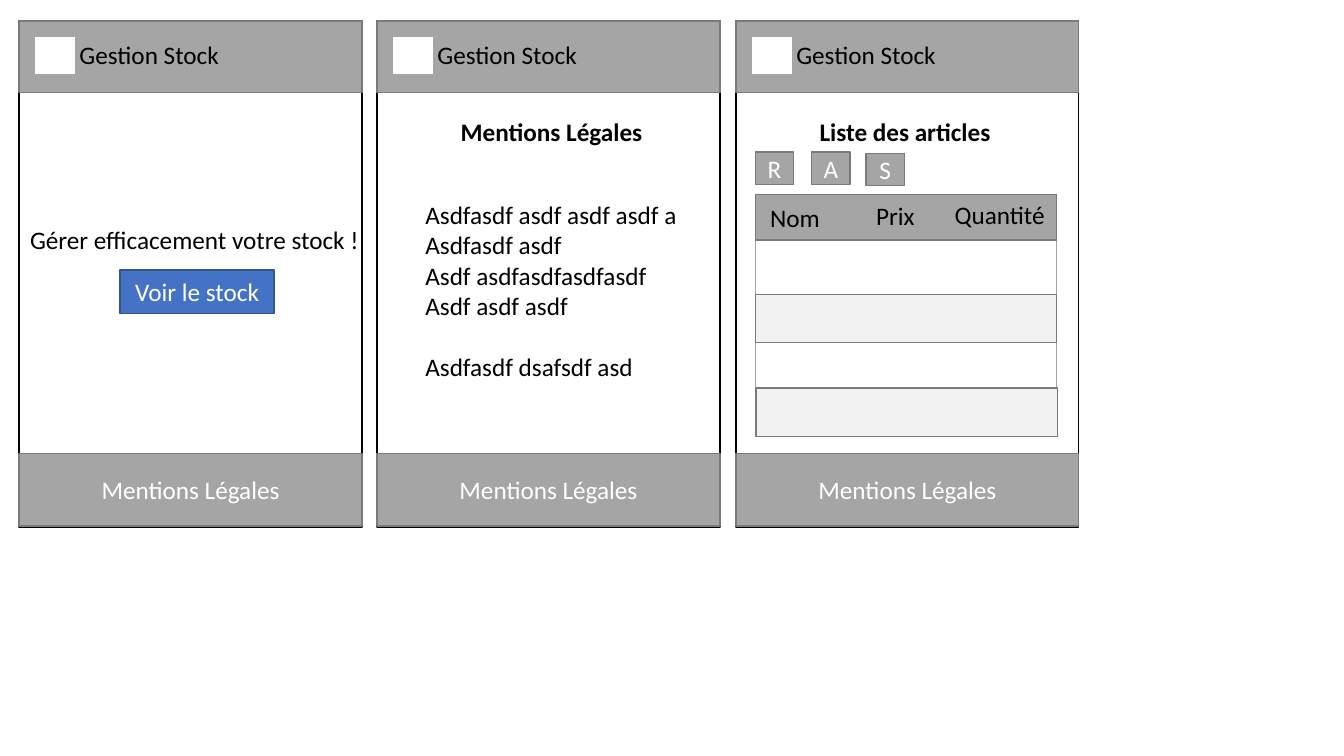
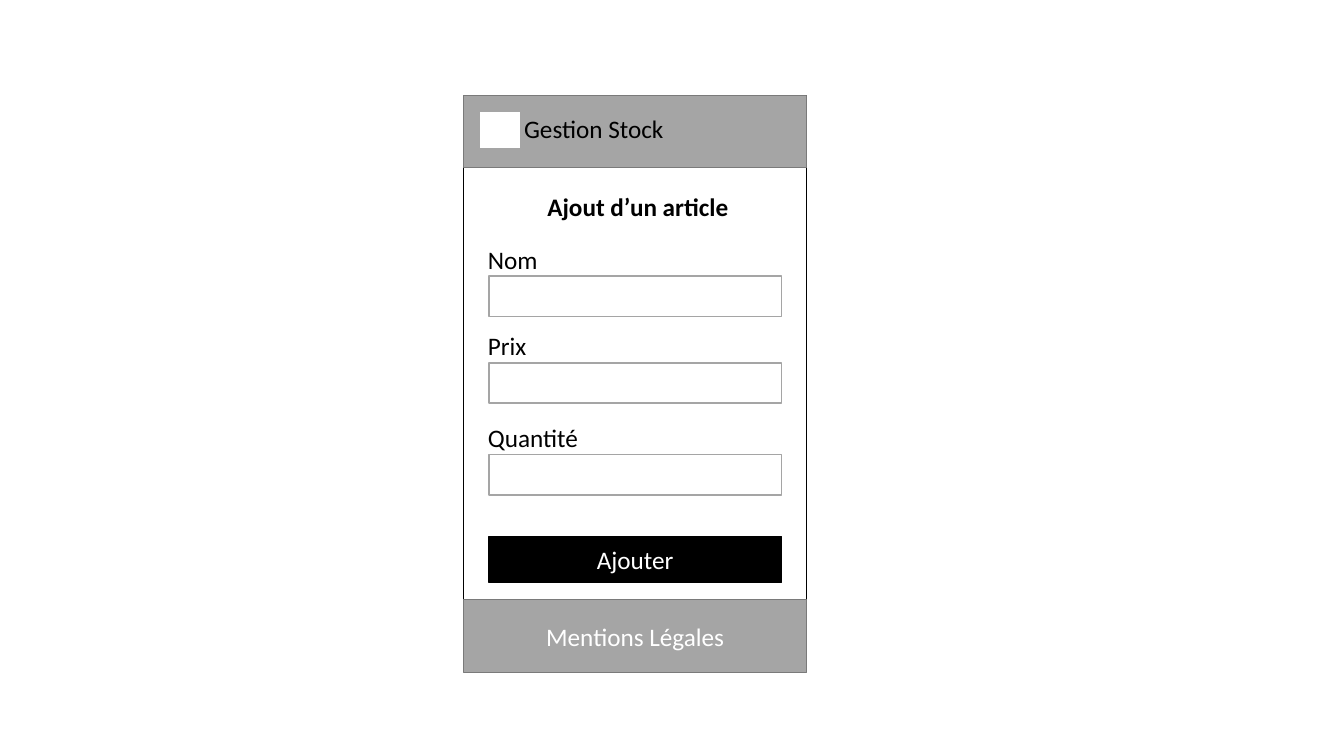
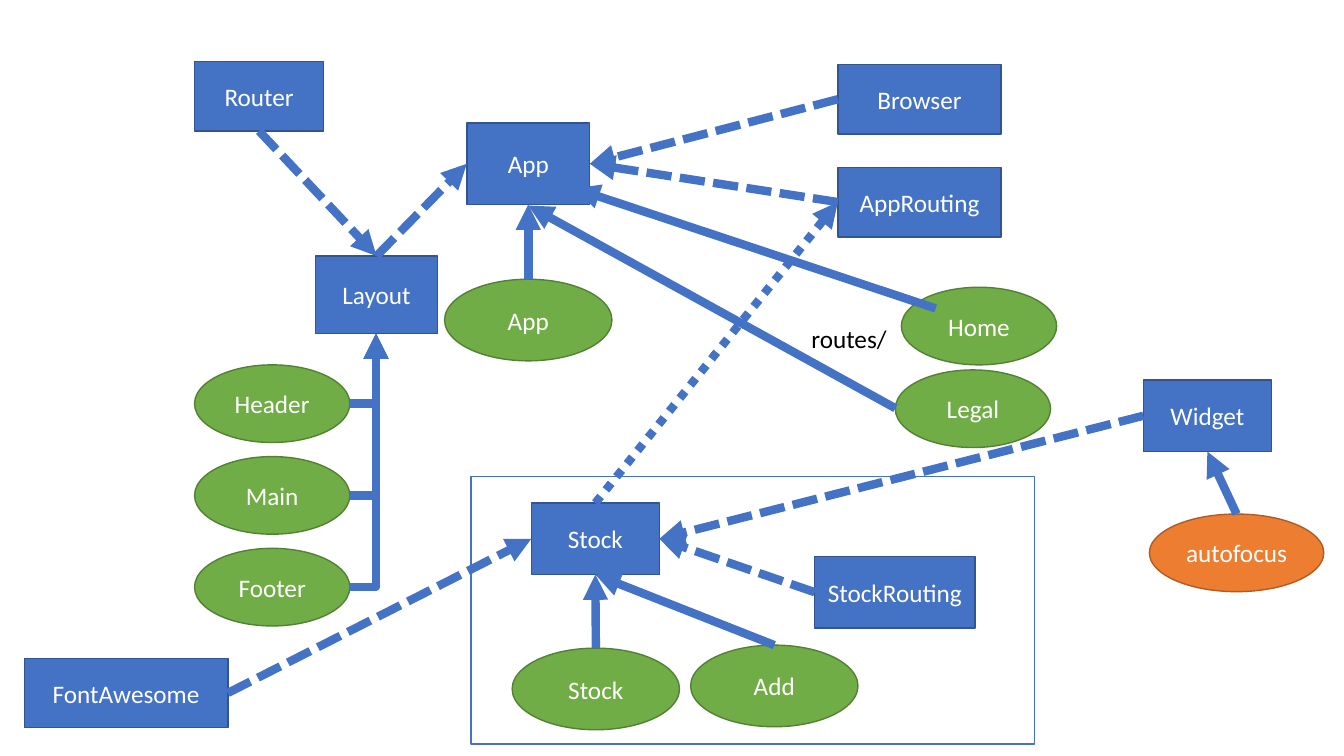
import pptx
import pptx.util
import pptx.dml.color
import pptx.enum.dml
import pptx.enum.shapes
import pptx.enum.text
import pptx.oxml.ns
import lxml.etree

Inches = pptx.util.Inches
Pt = pptx.util.Pt
RGBColor = pptx.dml.color.RGBColor
SHAPE = pptx.enum.shapes.MSO_SHAPE
CONNECTOR = pptx.enum.shapes.MSO_CONNECTOR
DASH = pptx.enum.dml.MSO_LINE.SQUARE_DOT
DOT = pptx.enum.dml.MSO_LINE.ROUND_DOT
qn = pptx.oxml.ns.qn

BLACK = RGBColor(0x00, 0x00, 0x00)
WHITE = RGBColor(0xFF, 0xFF, 0xFF)
GREY = RGBColor(0xA5, 0xA5, 0xA5)
DARK_GREY = RGBColor(0x7A, 0x7A, 0x7A)
PALE_GREY = RGBColor(0xF2, 0xF2, 0xF2)
BLUE = RGBColor(0x44, 0x72, 0xC4)
DARK_BLUE = RGBColor(0x32, 0x54, 0x91)
GREEN = RGBColor(0x70, 0xAD, 0x47)
DARK_GREEN = RGBColor(0x53, 0x80, 0x35)
ORANGE = RGBColor(0xED, 0x7D, 0x31)
DARK_ORANGE = RGBColor(0xAF, 0x5C, 0x24)

TOP, LEFT, BOTTOM, RIGHT = range(4)


class Deck:
    font = "Calibri"
    size = Pt(18)
    screen_width = 3.4

    def __init__(self):
        self.prs = pptx.Presentation()
        self.prs.slide_width = Inches(13.33)
        self.prs.slide_height = Inches(7.5)

    def slide(self):
        self.s = self.prs.slides.add_slide(self.prs.slide_layouts[6])

    def run(self, p, text, color, bold=False):
        r = p.add_run()
        r.text = text
        r.font.name = self.font
        r.font.size = self.size
        r.font.bold = bold
        r.font.color.rgb = color

    def box(self, x, y, w, h, fill, line, text=None, kind=SHAPE.RECTANGLE):
        sp = self.s.shapes.add_shape(kind, Inches(x), Inches(y), Inches(w), Inches(h))
        sp.shadow.inherit = False
        sp.fill.solid()
        sp.fill.fore_color.rgb = fill
        sp.line.color.rgb = line
        sp.line.width = Pt(1)
        if text:
            tf = sp.text_frame
            tf.vertical_anchor = pptx.enum.text.MSO_ANCHOR.MIDDLE
            p = tf.paragraphs[0]
            p.alignment = pptx.enum.text.PP_ALIGN.CENTER
            self.run(p, text, WHITE)
        return sp

    def text(self, x, y, w, *lines, bold=False, h=0.4):
        sp = self.s.shapes.add_textbox(Inches(x), Inches(y), Inches(w), Inches(h))
        tf = sp.text_frame
        tf.word_wrap = False
        tf.auto_size = pptx.enum.text.MSO_AUTO_SIZE.SHAPE_TO_FIT_TEXT
        for i, line in enumerate(lines):
            p = tf.add_paragraph() if i else tf.paragraphs[0]
            self.run(p, line, BLACK, bold)
        return tf

    def screen(self, x, y, footer_y):
        w = self.screen_width
        self.box(x, y, w, 5.02, WHITE, BLACK)
        self.box(x, y, w, 0.71, GREY, DARK_GREY)
        self.box(x, footer_y, w, 0.72, GREY, DARK_GREY, "Mentions Légales")
        self.box(x + 0.15, y + 0.15, 0.41, 0.38, WHITE, GREY)
        self.text(x + 0.5, y + 0.13, 1.6, "Gestion Stock")

    def heading(self, x, y, w, text):
        self.text(x + 0.73, y + 0.9, w, text, bold=True)

    def module(self, x, y, w, h, text):
        return self.box(x, y, w, h, BLUE, DARK_BLUE, text)

    def component(self, x, y, w, h, text, fill=GREEN, line=DARK_GREEN):
        return self.box(x, y, w, h, fill, line, text, SHAPE.OVAL)

    def arrow(self, x1, y1, x2, y2, dash=None, bent=False):
        kind = CONNECTOR.ELBOW if bent else CONNECTOR.STRAIGHT
        c = self.s.shapes.add_connector(
            kind, Inches(x1), Inches(y1), Inches(x2), Inches(y2))
        c.line.color.rgb = BLUE
        c.line.width = Pt(6)
        if dash:
            c.line.dash_style = dash
        spPr = c.element.spPr
        if bent:
            spPr.find(qn("a:prstGeom")).set("prst", "bentConnector2")
        lxml.etree.SubElement(spPr.find(qn("a:ln")), qn("a:tailEnd"), type="triangle")
        lxml.etree.SubElement(spPr, qn("a:effectLst"))
        return c

    def link(self, source, source_side, target, target_side, dash=None):
        c = self.arrow(0, 0, 1, 1, dash)
        c.begin_connect(source, source_side)
        c.end_connect(target, target_side)


def build_screens(deck):
    deck.slide()
    y, footer_y = 0.21, 4.5
    home_x, legal_x, list_x = 0.19, 3.74, 7.3

    deck.screen(home_x, y, footer_y)
    deck.box(1.19, 2.68, 1.53, 0.43, BLUE, DARK_BLUE, "Voir le stock")
    deck.text(0.2, 2.18, 3.51, "Gérer efficacement votre stock !")

    deck.screen(legal_x, y, footer_y)
    deck.heading(legal_x, y, 2.02, "Mentions Légales")
    tf = deck.text(4.12, 1.93, 2.72, "Asdfasdf asdf asdf asdf a", "Asdfasdf asdf ",
                   "Asdf asdfasdfasdfasdf", "Asdf asdf asdf ",
                   "Asdfasdf dsafsdf asd", h=1.92)
    tf.paragraphs[-1].space_before = Pt(22)

    deck.screen(list_x, y, footer_y)
    deck.heading(list_x, y, 1.91, "Liste des articles")
    table_x, table_w = 7.49, 2.99
    deck.box(table_x, 1.93, table_w, 2.13, WHITE, GREY)
    for x, button_y, letter in ((7.49, 1.51, "R"), (8.05, 1.51, "A"), (8.59, 1.52, "S")):
        deck.box(x, button_y, 0.38, 0.32, GREY, DARK_GREY, letter)
    deck.box(table_x, 1.93, table_w, 0.45, GREY, DARK_GREY)
    deck.box(table_x, 2.92, table_w, 0.48, PALE_GREY, DARK_GREY)
    deck.box(table_x + 0.01, 3.85, table_w, 0.48, PALE_GREY, DARK_GREY)
    deck.text(7.54, 1.96, 0.7, "Nom")
    deck.text(8.59, 1.94, 0.59, "Prix")
    deck.text(9.37, 1.93, 1.11, "Quantité")


def build_form(deck):
    deck.slide()
    x, y = 4.6, 0.95
    deck.screen(x, y, 5.95)
    deck.heading(x, y, 2.01, "Ajout d’un article")
    for field_y, w, label in ((2.74, 0.7, "Nom"), (3.6, 0.59, "Prix"), (4.51, 1.11, "Quantité")):
        deck.box(4.85, field_y, 2.9, 0.4, WHITE, GREY)
        deck.text(4.74, field_y - 0.37, w, label)
    deck.box(4.85, 5.32, 2.9, 0.46, BLACK, BLACK, "Ajouter")


def build_architecture(deck):
    deck.slide()
    deck.box(4.67, 4.73, 5.59, 2.65, WHITE, BLUE)

    app = deck.module(4.63, 1.22, 1.22, 0.81, "App")
    browser = deck.module(8.31, 0.64, 1.62, 0.69, "Browser")
    app_routing = deck.module(8.31, 1.66, 1.62, 0.69, "AppRouting")
    layout = deck.module(3.13, 2.54, 1.21, 0.77, "Layout")
    router = deck.module(1.93, 0.61, 1.28, 0.69, "Router")
    stock = deck.module(5.27, 4.99, 1.27, 0.71, "Stock")
    stock_routing = deck.module(8.08, 5.52, 1.59, 0.71, "StockRouting")
    font_awesome = deck.module(0.24, 6.53, 2.02, 0.69, "FontAwesome")
    widget = deck.module(11.34, 3.77, 1.27, 0.71, "Widget")

    app_view = deck.component(4.41, 2.77, 1.66, 0.81, "App")
    deck.component(8.94, 2.85, 1.54, 0.77, "Home")
    deck.component(8.88, 3.67, 1.54, 0.77, "Legal")
    stock_view = deck.component(5.08, 6.43, 1.66, 0.81, "Stock")
    add_view = deck.component(6.85, 6.4, 1.66, 0.81, "Add")
    autofocus = deck.component(11.4, 5.1, 1.73, 0.77, "autofocus", ORANGE, DARK_ORANGE)
    deck.text(7.95, 3.16, 0.96, "routes/")

    for i, name in enumerate(("Header", "Main", "Footer")):
        y = 3.62 + 0.91 * i
        deck.component(1.93, y, 1.54, 0.77, name)
        deck.arrow(3.47, y + 0.385, 3.73, 3.31, bent=True)

    deck.arrow(9.28, 3.06, 5.7, 1.87)
    deck.arrow(8.88, 4.05, 5.24, 2.04)
    for source, source_side, target, target_side, dash in (
        (app_view, TOP, app, BOTTOM, None),
        (browser, LEFT, app, RIGHT, DASH),
        (app_routing, LEFT, app, RIGHT, DASH),
        (layout, TOP, app, LEFT, DASH),
        (router, BOTTOM, layout, TOP, DASH),
        (stock_routing, LEFT, stock, RIGHT, DASH),
        (stock_view, TOP, stock, BOTTOM, None),
        (stock, TOP, app_routing, LEFT, DOT),
        (add_view, TOP, stock, BOTTOM, None),
        (font_awesome, RIGHT, stock, LEFT, DASH),
        (autofocus, TOP, widget, BOTTOM, None),
        (widget, LEFT, stock, RIGHT, DASH),
    ):
        deck.link(source, source_side, target, target_side, dash)


deck = Deck()
build_screens(deck)
build_form(deck)
build_architecture(deck)
deck.prs.save("out.pptx")
